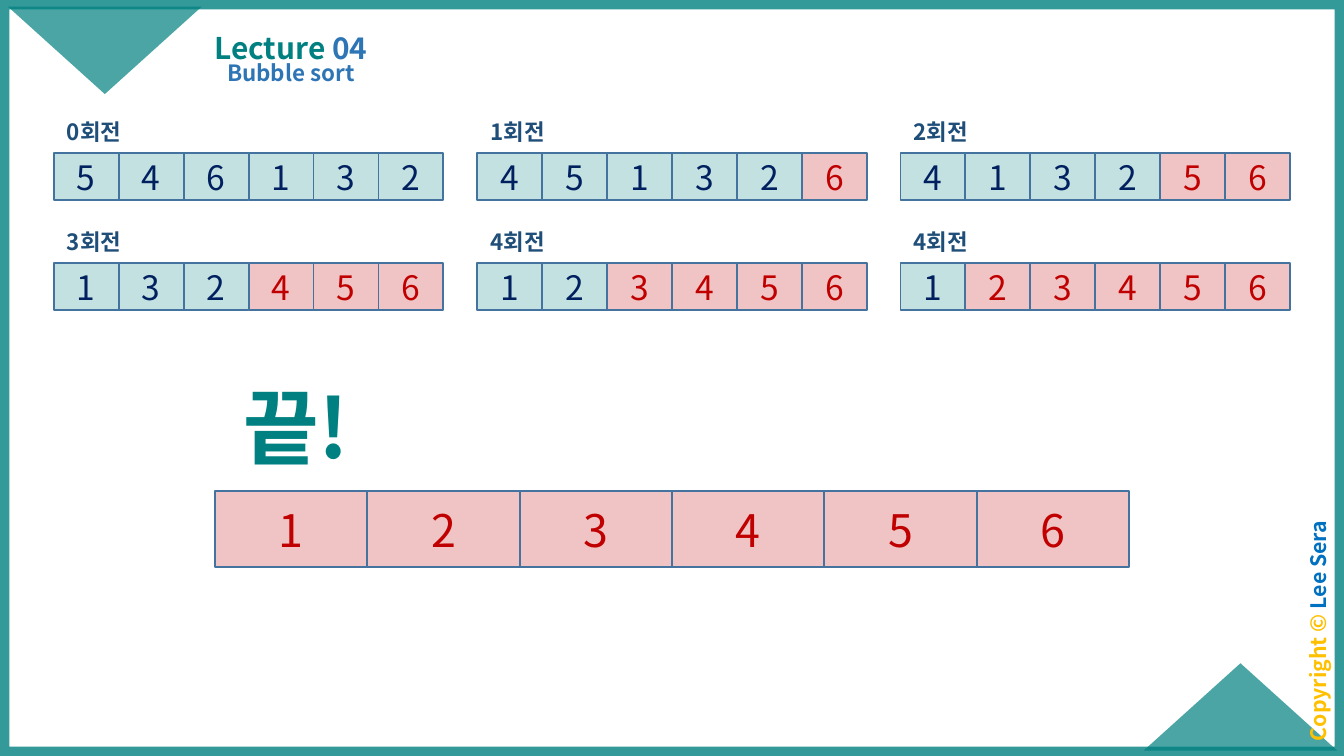
from lxml import etree
from pptx import Presentation
from pptx.dml.color import RGBColor
from pptx.enum.shapes import MSO_SHAPE
from pptx.enum.text import MSO_ANCHOR, MSO_AUTO_SIZE, PP_ALIGN
from pptx.oxml.ns import qn
from pptx.util import Inches, Pt

RECTANGLE, TRIANGLE = MSO_SHAPE.RECTANGLE, MSO_SHAPE.ISOSCELES_TRIANGLE
LEFT, CENTER = PP_ALIGN.LEFT, PP_ALIGN.CENTER
TOP, MIDDLE, BOTTOM = MSO_ANCHOR.TOP, MSO_ANCHOR.MIDDLE, MSO_ANCHOR.BOTTOM

WIDTH = 10
HEIGHT = WIDTH * 9 / 16
FONT = "Noto Sans CJK KR"
TIGHT = (0.07, 0.04)
ROOMY = (0.1, 0.05)
COLORS = {
    "teal": "008080",
    "blue": "2E75B6",
    "label": "1F4E79",
    "border": "43739E",
    "open": "002060",
    "sorted": "C00000",
    "gold": "FFC000",
    "author": "0070C0",
}

# Label, values and number of values already in their final place
PASSES = [
    ("0회전", "546132", 0),
    ("1회전", "451326", 1),
    ("2회전", "413256", 2),
    ("3회전", "132456", 3),
    ("4회전", "123456", 4),
    ("4회전", "123456", 5),
]
GRID_COLUMNS = 3
GRID_LEFT, GRID_TOP = 0.4, 0.83
COLUMN_STEP, ROW_STEP = 3.15, 0.82
PASS_WIDTH, PASS_HEIGHT = 2.9, 0.66


def rgb(name):
    return RGBColor.from_string(COLORS[name])


def inches(box):
    return [Inches(length) for length in box]


def set_opacity(shape, percent, parent="a:solidFill"):
    for color in shape.element.spPr.xpath(f"{parent}/a:srgbClr"):
        etree.SubElement(color, qn("a:alpha"), val=str(percent * 1000))


def write(shape, spans, size, bold=True, align=CENTER, anchor=TOP,
          margins=TIGHT, spacing=1.0, before=0):
    """Fill the shape with one paragraph of (text, color) spans."""
    frame = shape.text_frame
    frame.word_wrap = True
    frame.auto_size = MSO_AUTO_SIZE.NONE
    frame.vertical_anchor = anchor
    frame.margin_left = frame.margin_right = Inches(margins[0])
    frame.margin_top = frame.margin_bottom = Inches(margins[1])
    para = frame.paragraphs[0]
    para.alignment = align
    para.line_spacing = spacing
    para.space_before = Pt(before)
    for text, color in spans:
        span = para.add_run()
        span.text = text
        span.font.name = FONT
        span.font.size = Pt(size)
        span.font.bold = bold
        span.font.color.rgb = rgb(color)
    for properties in shape.element.xpath(".//a:rPr"):
        etree.SubElement(properties, qn("a:ea"), typeface=FONT)


def add_cells(shapes, box, values, sorted_count, size):
    """Split the box into equal cells, the last sorted_count of them in red."""
    left, top, width, height = box
    cell_width = width / len(values)
    for index, value in enumerate(values):
        is_sorted = index >= len(values) - sorted_count
        cell = shapes.add_shape(RECTANGLE, *inches(
            (left + index * cell_width, top, cell_width, height)))
        cell.shadow.inherit = False
        cell.fill.solid()
        cell.fill.fore_color.rgb = rgb("sorted" if is_sorted else "teal")
        set_opacity(cell, 23)
        cell.line.color.rgb = rgb("border")
        cell.line.width = Pt(1)
        write(cell, [(value, "sorted" if is_sorted else "open")], size,
              bold=False, anchor=MIDDLE, margins=ROOMY)


def add_pass(page, box, label, values, sorted_count):
    left, top, width, height = box
    group = page.shapes.add_group_shape()
    add_cells(group.shapes, (left, top + height * 0.47, width, height * 0.53),
              values, sorted_count, 18)
    caption = group.shapes.add_textbox(
        *inches((left, top, width * 0.54, height * 0.46)))
    write(caption, [(label, "label")], 12, align=LEFT, margins=ROOMY)
    caption.text_frame.auto_size = MSO_AUTO_SIZE.SHAPE_TO_FIT_TEXT


def add_passes(page):
    for index, (label, values, sorted_count) in enumerate(PASSES):
        row, column = divmod(index, GRID_COLUMNS)
        box = (GRID_LEFT + column * COLUMN_STEP, GRID_TOP + row * ROW_STEP,
               PASS_WIDTH, PASS_HEIGHT)
        add_pass(page, box, label, values, sorted_count)


def add_result(page, box):
    left, top, width, height = box
    heading = page.shapes.add_textbox(
        *inches((left + 0.02, top, 1.17, height * 0.55)))
    write(heading, [("끝!", "teal")], 44, anchor=BOTTOM, spacing=0.9)
    add_cells(page.shapes, (left, top + height * 0.6, width, height * 0.4),
              "123456", 6, 24)


def add_frame(page, box):
    """Draw the border with a triangle in two opposite corners."""
    left, top, width, height = box
    border = page.shapes.add_shape(RECTANGLE, *inches(box))
    border.shadow.inherit = False
    border.fill.background()
    border.line.color.rgb = rgb("teal")
    border.line.width = Pt(10)
    set_opacity(border, 80, "a:ln/a:solidFill")
    corner_width, corner_height, inset = 1.44, 0.65, 0.05
    corners = [
        (left + width - corner_width - inset,
         top + height - corner_height - inset + 0.01, 0),
        (left + inset + 0.01, top + inset, 180),
    ]
    for x, y, rotation in corners:
        corner = page.shapes.add_shape(
            TRIANGLE, *inches((x, y, corner_width, corner_height)))
        corner.shadow.inherit = False
        corner.rotation = rotation
        corner.fill.solid()
        corner.fill.fore_color.rgb = rgb("teal")
        set_opacity(corner, 70)
        corner.line.fill.background()


def add_copyright(page, box):
    notice = page.shapes.add_textbox(*inches(box))
    notice.rotation = 270
    write(notice, [("Copyright © ", "gold"), ("Lee Sera", "author")], 11.4,
          spacing=0.7, before=10)


def place(placeholder, box):
    (placeholder.left, placeholder.top,
     placeholder.width, placeholder.height) = inches(box)


def add_titles(page, box):
    left, top, width, height = box
    title, subtitle = page.shapes.title, page.placeholders[1]
    place(title, (left + 0.3, top, width - 0.6, height * 0.67))
    write(title, [("Lecture ", "teal"), ("04", "blue")], 16,
          anchor=BOTTOM, spacing=0.9)
    place(subtitle, (left, top + 0.36, width, height - 0.36))
    write(subtitle, [("Bubble sort", "blue")], 12, spacing=0.9, before=7.5)


def main():
    deck = Presentation()
    deck.slide_width, deck.slide_height = inches((WIDTH, HEIGHT))
    page = deck.slides.add_slide(deck.slide_layouts[0])
    add_frame(page, (0, 0, WIDTH, HEIGHT))
    add_copyright(page, (8.92, 4.57, 1.86, 0.25))
    add_titles(page, (1.1, 0.06, 2.13, 0.7))
    add_passes(page)
    add_result(page, (1.6, 2.81, 6.8, 1.41))
    deck.save("out.pptx")


if __name__ == "__main__":
    main()
